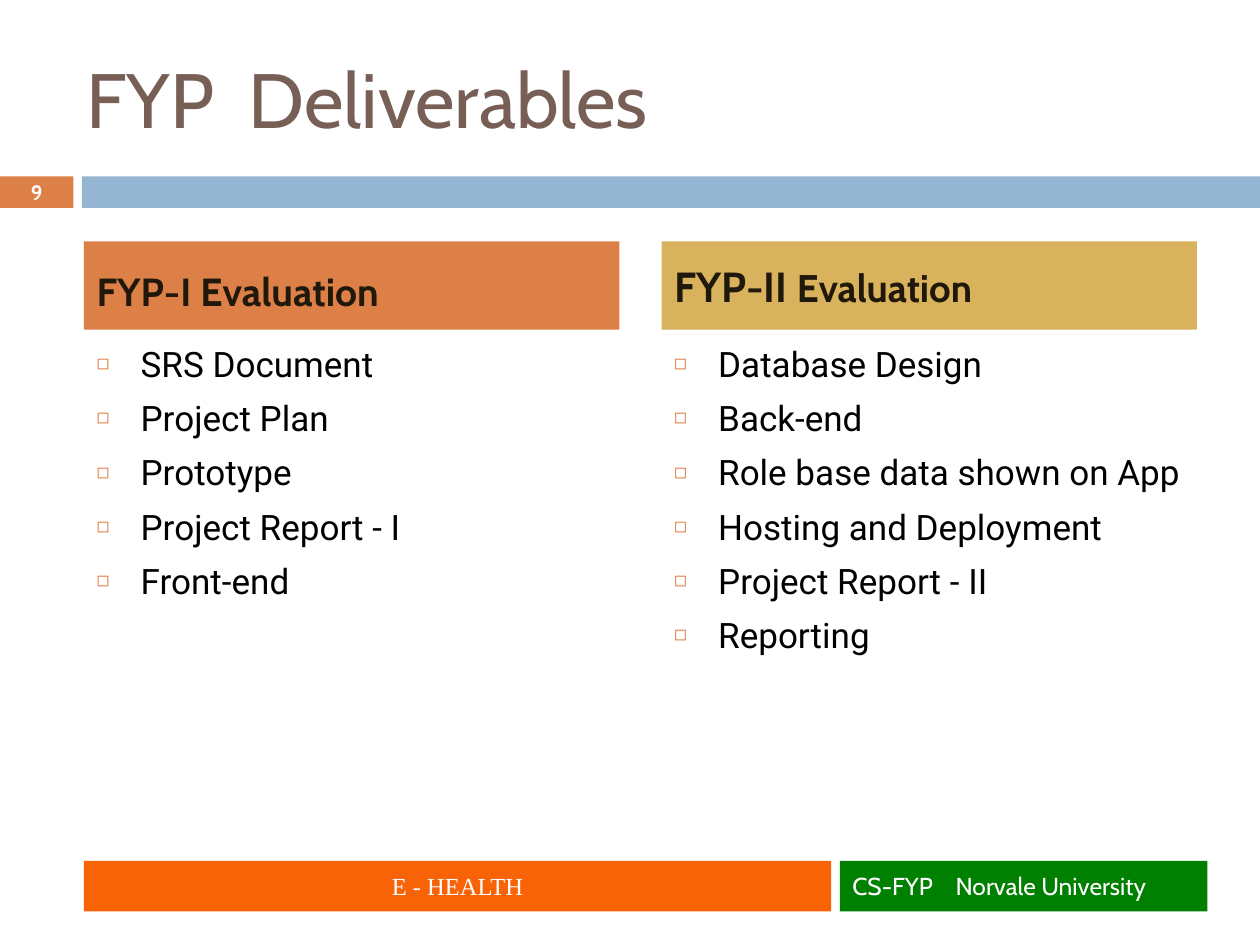
from lxml import etree
from pptx import Presentation
from pptx.dml.color import RGBColor
from pptx.enum import shapes, text
from pptx.oxml import ns
from pptx.util import Pt

COLORS = {
    "title": "775F55", "orange": "DD8047", "blue": "94B6D2", "gold": "D8B25C",
    "heading": "20190B", "black": "000000", "white": "FFFFFF",
    "project": "F86308", "school": "008000",
}
LEFT, RIGHT, COLUMN = 48, 378, 306
MIDDLE, TOP = text.MSO_ANCHOR.MIDDLE, text.MSO_ANCHOR.TOP
ALIGN_LEFT, ALIGN_CENTER = text.PP_ALIGN.LEFT, text.PP_ALIGN.CENTER


def place(box, left, top, width, height, fill=None, anchor=MIDDLE):
    """Position a box, fill it and set up its text frame."""
    bounds = {"left": left, "top": top, "width": width, "height": height}
    for name, value in bounds.items():
        setattr(box, name, Pt(value))
    if fill:
        box.fill.solid()
        box.fill.fore_color.rgb = RGBColor.from_string(COLORS[fill])
    frame = {"word_wrap": True, "auto_size": text.MSO_AUTO_SIZE.NONE,
             "vertical_anchor": anchor}
    for name, value in frame.items():
        setattr(box.text_frame, name, value)
    return box


def write(para, words, size, color, font="Cabin", bold=False, align=ALIGN_LEFT, before=0):
    """Add a formatted run to a paragraph."""
    para.alignment = align
    para.space_before = Pt(before)
    span = para.add_run()
    span.text = words
    for name, value in {"size": Pt(size), "name": font, "bold": bold}.items():
        setattr(span.font, name, value)
    span.font.color.rgb = RGBColor.from_string(COLORS[color])


deck = Presentation()
deck.slide_width, deck.slide_height = Pt(720), Pt(540)
page = deck.slides.add_slide(deck.slide_layouts.get_by_name("Comparison"))
holders = {holder.placeholder_format.idx: holder for holder in page.placeholders}

# Bands under the title and footer bars
bars = {}
for name, left, top, width, height, fill in (
    ("number", 0, 100.8, 42, 18, "orange"),
    ("band", 46.8, 100.8, 673.2, 18, "blue"),
    ("project", LEFT, 492, 427, 28.8, "project"),
    ("school", 480, 492, 210, 28.8, "school"),
):
    bar = page.shapes.add_shape(shapes.MSO_SHAPE.RECTANGLE, 0, 0, 0, 0)
    bars[name] = place(bar, left, top, width, height, fill)
    bar.line.fill.background()
    bar.shadow.inherit = False

number, project, school = (
    bars[name].text_frame.paragraphs[0] for name in ("number", "project", "school"))
write(number, "9", 11.9, "white", bold=True, align=ALIGN_CENTER)
write(project, "E - HEALTH", 14, "white", "Times New Roman", align=ALIGN_CENTER)
write(school, "CS-FYP\tNorvale University", 14, "white")
tabs = etree.SubElement(school._p.get_or_add_pPr(), ns.qn("a:tabLst"))
etree.SubElement(tabs, ns.qn("a:tab"), pos=str(Pt(59)), algn="l")

# Title
title = place(page.shapes.title, 42, 21.6, 662, 68.4)
write(title.text_frame.paragraphs[0], "FYP  Deliverables", 44, "title")

# Column headings and lists
columns = (
    (1, LEFT, "orange", 10, (("FYP-I Evaluation", 22.4),),
     ("SRS Document", "Project Plan", "Prototype", "Project Report - I", "Front-end")),
    (3, RIGHT, "gold", 3.6, (("FYP-II ", 24), ("Evaluation", 22)),
     ("Database Design", "Back-end", "Role base data shown on App",
      "Hosting and Deployment", "Project Report - II", "Reporting")),
)
for idx, left, fill, inset, heading, items in columns:
    box = place(holders[idx], left, 138, COLUMN, 50.4, fill)
    box.text_frame.margin_top = Pt(inset)
    for words, size in heading:
        write(box.text_frame.paragraphs[0], words, size, "heading", bold=True, before=7)

    frame = place(holders[idx + 1], left, 192, COLUMN, 282, anchor=TOP).text_frame
    for row, item in enumerate(items):
        para = frame.add_paragraph() if row else frame.paragraphs[0]
        write(para, item, 20, "black", "Roboto", before=7)
        props = para._p.get_or_add_pPr()
        props.set("marL", str(Pt(25.2)))
        props.set("indent", str(Pt(-25.2)))
        tint = etree.SubElement(props, ns.qn("a:buClr"))
        etree.SubElement(tint, ns.qn("a:srgbClr"), val=COLORS["orange"])
        etree.SubElement(props, ns.qn("a:buSzPct"), val="60000")
        etree.SubElement(props, ns.qn("a:buChar"), char="◻")

deck.save("out.pptx")
